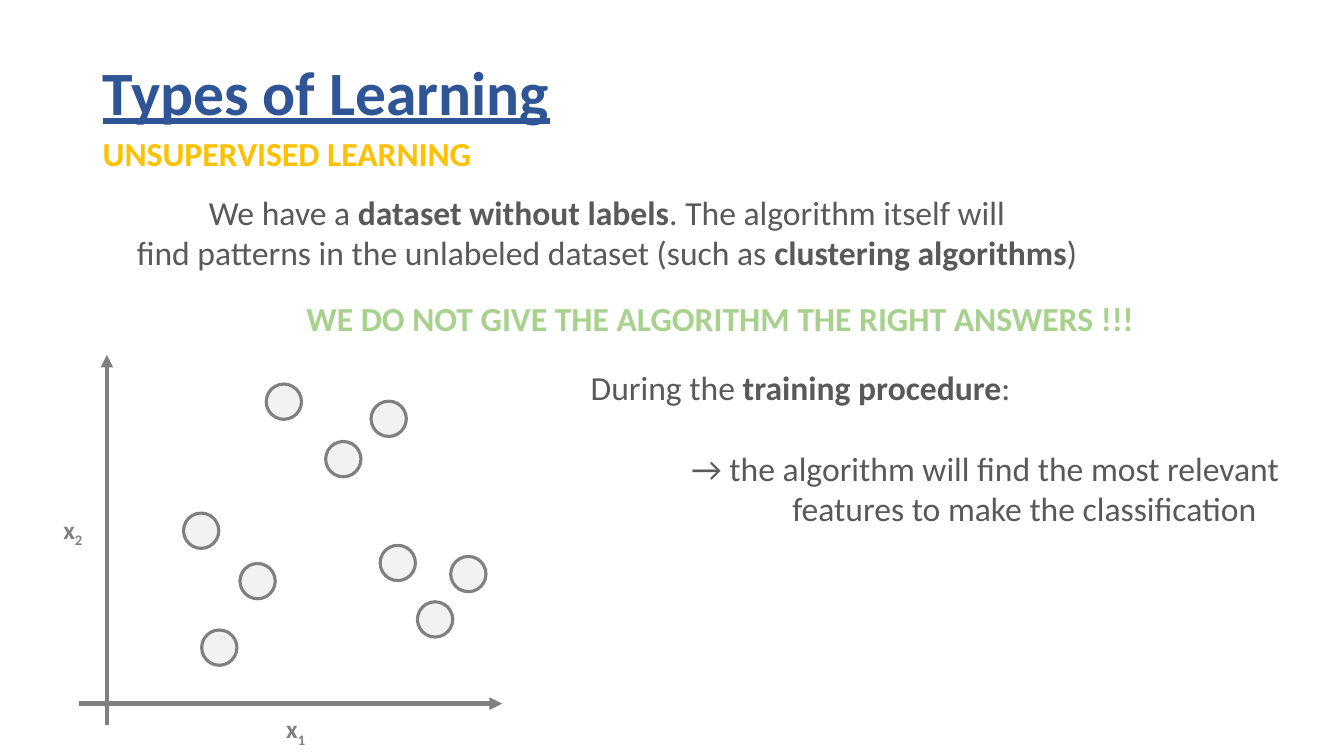
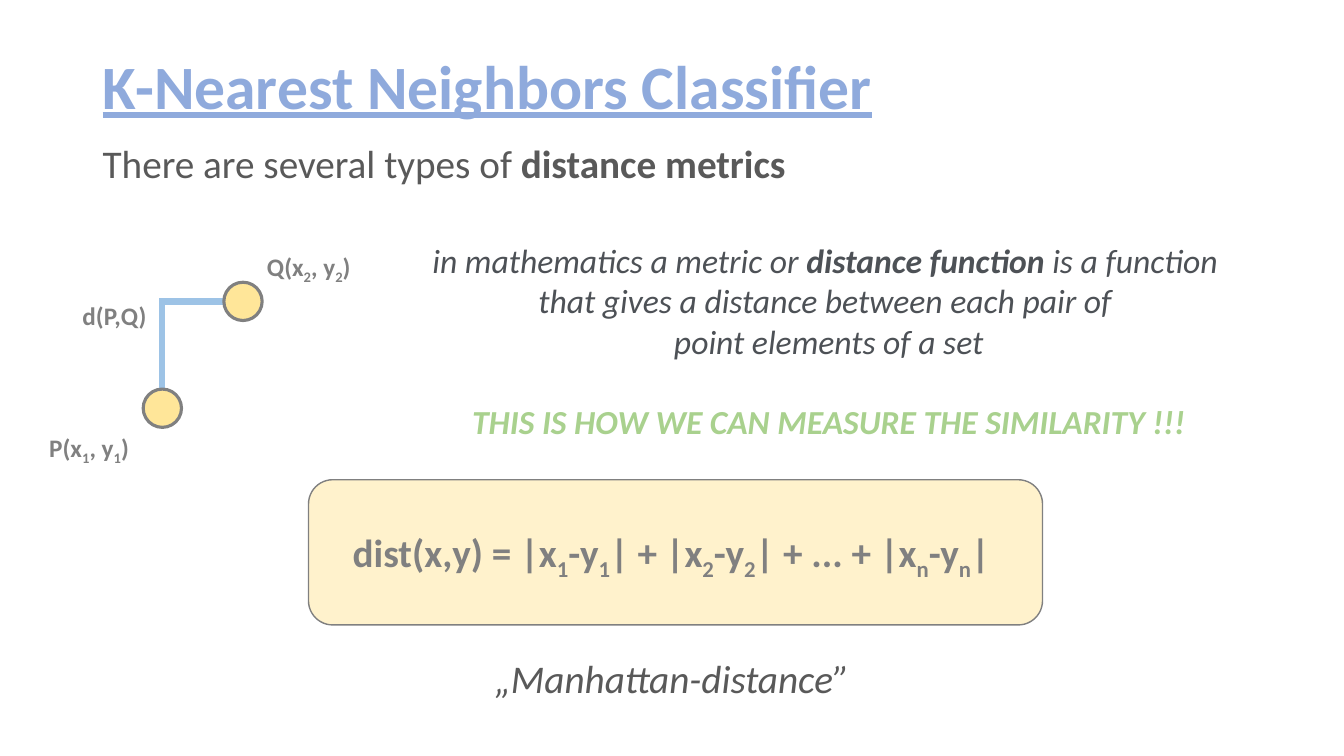
from pptx import Presentation
from pptx.dml.color import RGBColor
from pptx.enum.shapes import MSO_CONNECTOR as CONN, MSO_SHAPE as SHAPE
from pptx.enum.text import MSO_ANCHOR as ANCHOR, PP_ALIGN as ALIGN
from pptx.oxml.ns import qn
from pptx.util import Inches, Pt
from lxml.etree import SubElement

COLORS = {
    "navy": "2F5597", "periwinkle": "8FAADC", "gold": "FFC000",
    "green": "A9D18E", "text": "595959", "slate": "4D5156",
    "gray": "808080", "sky": "9DC3E6", "dot": "F2F2F2",
    "point": "FFE699", "panel": "FFF2CC",
}
FONT = "Calibri"

# Text styles; in the wording, *...* is bold and ~...~ is subscript.
TITLE = {"size": 44, "bold": True, "underline": True}
BODY = {"size": 24, "color": "text"}
LEAD = {"size": 28, "color": "text"}
QUOTE = {"size": 24, "color": "slate", "italic": True}
HEADING = {"size": 24, "color": "gold", "bold": True}
CALLOUT = {"size": 24, "color": "green", "bold": True}
LABEL = {"size": 18, "color": "gray", "bold": True}
FORMULA = {**LABEL, "size": 28}

# Paragraph formats
CENTER = {"alignment": ALIGN.CENTER}
TIGHT = {"line_spacing": 0.9}
GAP = {"space_before": Pt(29)}

# Each text: box, list of (wording, style, paragraph format, left indent)
LEARNING_TEXTS = [
    ((0.92, 1.27, 4.2, 0.5), [("UNSUPERVISED LEARNING", HEADING, {}, 0)]),
    ((1.21, 1.85, 9.62, 0.91), [
        ("We have a *dataset without labels*. The algorithm itself will", BODY, CENTER, 0),
        ("find patterns in the unlabeled dataset (such as *clustering algorithms*)",
         BODY, CENTER, 0)]),
    ((5.76, 3.59, 7.4, 1.72), [
        ("During the* training procedure*:", BODY, {}, 0),
        ("→ the algorithm will find the most relevant", BODY, GAP, 1),
        ("features to make the classification", BODY, {}, 2)]),
    ((2.94, 2.91, 8.8, 0.5), [
        ("WE DO NOT GIVE THE ALGORITHM THE RIGHT ANSWERS !!!", CALLOUT, {}, 0)]),
    ((0.53, 5.05, 0.5, 0.4), [("x~2~", LABEL, {}, 0)]),
    ((2.74, 7.03, 0.5, 0.4), [("x~1~", LABEL, {}, 0)]),
]
AXES = [((1.06, 7.19), (1.06, 3.52)), ((0.78, 6.98), (4.98, 6.98))]
DOT_SIZE = 0.35
DOTS = [
    (1.82, 5.09), (2, 6.25), (2.38, 5.59),
    (2.64, 3.81), (3.23, 4.38), (3.68, 3.98),
    (3.77, 5.41), (4.14, 5.97), (4.47, 5.52),
]

DISTANCE_TEXTS = [
    ((0.92, 1.39, 11.5, 0.6), [
        ("There are several types of *distance metrics*", LEAD, TIGHT, 0)]),
    ((0.39, 4.24, 1.2, 0.4), [("P(x~1~, y~1~)", LABEL, {}, 0)]),
    ((2.55, 2.44, 1.2, 0.4), [("Q(x~2~, y~2~)", LABEL, {}, 0)]),
    ((0.72, 2.93, 0.9, 0.4), [("d(P,Q)", LABEL, {}, 0)]),
    ((4.17, 2.33, 8.1, 2.12), [
        ("in mathematics a metric or *distance function *is a function ", QUOTE, CENTER, 0),
        ("that gives a distance between each pair of ", QUOTE, CENTER, 0),
        ("point elements of a set", QUOTE, CENTER, 0),
        ("THIS IS HOW WE CAN MEASURE THE SIMILARITY !!!",
         {**CALLOUT, "italic": True}, {**CENTER, **GAP}, 0)]),
    ((4.78, 6.44, 3.77, 0.57), [
        ("„Manhattan-distance”", {**LEAD, "italic": True}, CENTER, 0)]),
    ((3.4, 5.19, 6.87, 0.57), [
        ("dist(x,y) = |x~1~-y~1~| + |x~2~-y~2~| + ... + |x~n~-y~n~|", FORMULA, {}, 0)]),
]
PATH_LEGS = [((1.61, 4.05), (1.61, 2.99)), ((1.58, 2.99), (2.39, 2.99))]
POINT_SIZE = 0.38
POINTS = [(1.42, 3.86), (2.22, 2.8)]
FORMULA_PANEL = (3.06, 4.76, 7.28, 1.44)


def rgb(name):
    return RGBColor.from_string(COLORS[name])


def add_run(p, text, style, subscript=False):
    r = p.add_run()
    r.text = text
    r.font.name = FONT
    for key, value in style.items():
        if key == "color":
            r.font.color.rgb = rgb(value)
        else:
            setattr(r.font, key, Pt(value) if key == "size" else value)
    if subscript:
        r.font._element.set("baseline", "-25000")


def add_text(slide, box, paragraphs, anchor=ANCHOR.TOP):
    tf = slide.shapes.add_textbox(*map(Inches, box)).text_frame
    tf.word_wrap = True
    tf.vertical_anchor = anchor
    for i, (wording, style, layout, indent) in enumerate(paragraphs):
        p = tf.add_paragraph() if i else tf.paragraphs[0]
        for key, value in layout.items():
            setattr(p, key, value)
        if indent:
            p._p.get_or_add_pPr().set("marL", str(Inches(indent)))
        for b, part in enumerate(wording.split("*")):
            part_style = {**style, "bold": True} if b % 2 else style
            for s, text in enumerate(part.split("~")):
                if text:
                    add_run(p, text, part_style, subscript=s % 2 == 1)


def add_line(slide, start, end, color, width, arrow=False):
    line = slide.shapes.add_connector(CONN.STRAIGHT, *map(Inches, start + end))
    line.line.color.rgb = rgb(color)
    line.line.width = Pt(width)
    if arrow:
        SubElement(line.line._get_or_add_ln(), qn("a:tailEnd"), type="triangle")
    SubElement(line._element.spPr, qn("a:effectLst"))


def add_outlined(slide, kind, box, fill, width):
    sp = slide.shapes.add_shape(kind, *map(Inches, box))
    sp.shadow.inherit = False
    sp.fill.solid()
    sp.fill.fore_color.rgb = rgb(fill)
    sp.line.color.rgb = rgb("gray")
    sp.line.width = Pt(width)


def add_circles(slide, places, size, fill):
    for place in places:
        add_outlined(slide, SHAPE.OVAL, place + (size, size), fill, 2.25)


def add_titled_slide(prs, title, color, top):
    slide = prs.slides.add_slide(prs.slide_layouts[6])
    add_text(slide, (0.92, top, 11.5, 1.45),
             [(title, {**TITLE, "color": color}, TIGHT, 0)], ANCHOR.MIDDLE)
    return slide


def build_learning(prs):
    slide = add_titled_slide(prs, "Types of Learning", "navy", 0.22)
    for start, end in AXES:
        add_line(slide, start, end, "gray", 3, arrow=True)
    add_circles(slide, DOTS, DOT_SIZE, "dot")
    for box, paragraphs in LEARNING_TEXTS:
        add_text(slide, box, paragraphs)


def build_distance(prs):
    slide = add_titled_slide(prs, "K-Nearest Neighbors Classifier", "periwinkle", 0.16)
    for start, end in PATH_LEGS:
        add_line(slide, start, end, "sky", 4.5)
    add_circles(slide, POINTS, POINT_SIZE, "point")
    add_outlined(slide, SHAPE.ROUNDED_RECTANGLE, FORMULA_PANEL, "panel", 1)
    for box, paragraphs in DISTANCE_TEXTS:
        add_text(slide, box, paragraphs)


def main():
    prs = Presentation()
    prs.slide_width, prs.slide_height = Inches(13.33), Inches(7.5)
    build_learning(prs)
    build_distance(prs)
    prs.save("out.pptx")


if __name__ == "__main__":
    main()
